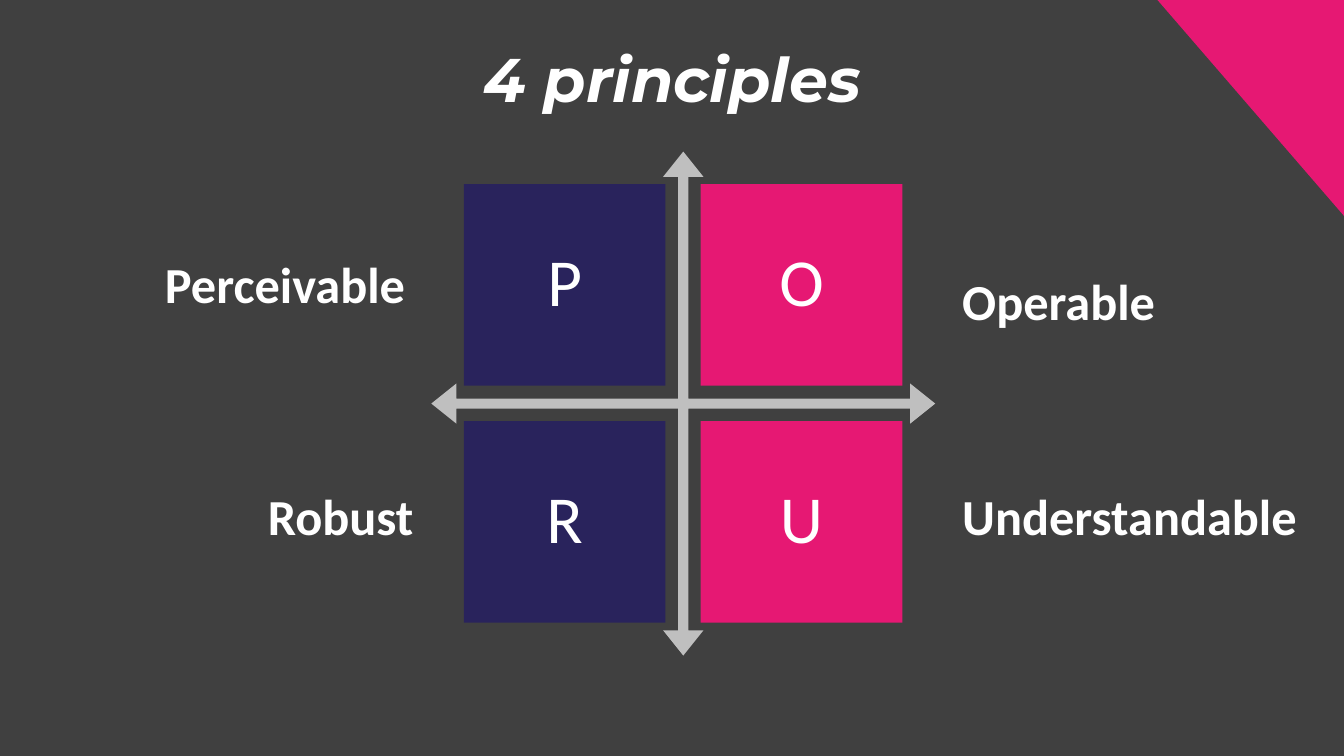
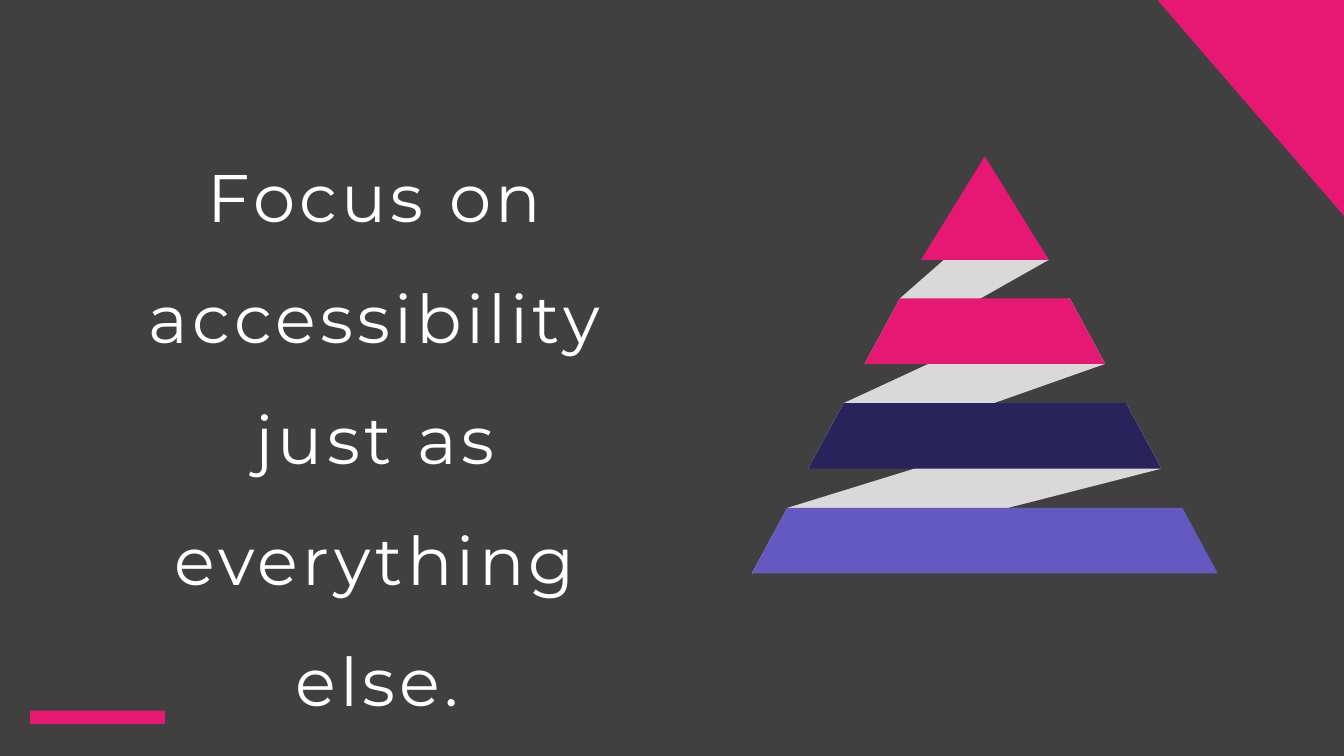
from pptx import Presentation
from pptx.dml.color import RGBColor
from pptx.enum.shapes import MSO_SHAPE
from pptx.enum.text import MSO_ANCHOR, MSO_AUTO_SIZE, PP_ALIGN
from pptx.util import Cm, Pt

RECT = MSO_SHAPE.RECTANGLE
CORNER = MSO_SHAPE.RIGHT_TRIANGLE
QUAD_ARROW = MSO_SHAPE.QUAD_ARROW
LEFT, CENTER, RIGHT = PP_ALIGN.LEFT, PP_ALIGN.CENTER, PP_ALIGN.RIGHT
MIDDLE = MSO_ANCHOR.MIDDLE
GROW = MSO_AUTO_SIZE.SHAPE_TO_FIT_TEXT

DARK, WHITE, PINK, NAVY, VIOLET = "404040", "FFFFFF", "E61873", "29235C", "6359C0"
ARROW_GREY, RIBBON_GREY = "BFBFBF", "D9D9D9"
HEADING, BODY = "Montserrat", "Calibri"
WIDTH, HEIGHT = 33.87, 19.05


def color(value):
    return RGBColor.from_string(value)


class Deck:
    def __init__(self):
        self.prs = Presentation()
        self.prs.slide_width, self.prs.slide_height = Cm(WIDTH), Cm(HEIGHT)
        self.slide = None

    def new_slide(self):
        self.slide = self.prs.slides.add_slide(self.prs.slide_layouts[6])
        fill = self.slide.background.fill
        fill.solid()
        fill.fore_color.rgb = color(DARK)

    def paint(self, s, fill):
        s.shadow.inherit = False
        s.fill.solid()
        s.fill.fore_color.rgb = color(fill)
        s.line.fill.background()
        return s

    def shape(self, kind, x, y, w, h, fill):
        s = self.slide.shapes.add_shape(kind, Cm(x), Cm(y), Cm(w), Cm(h))
        return self.paint(s, fill)

    def corner(self):
        w, h = 4.7, 5.44
        self.shape(CORNER, WIDTH - w, 0, w, h, PINK).rotation = 180

    def polygon(self, points, fill):
        points = [(Cm(x), Cm(y)) for x, y in points]
        builder = self.slide.shapes.build_freeform(*points[0], scale=1.0)
        builder.add_line_segments(points[1:], close=True)
        self.paint(builder.convert_to_shape(), fill)

    def set_text(self, tf, text, align, size, name, tracking=0, line_spacing=1.0, **style):
        tf.word_wrap = True
        p = tf.paragraphs[0]
        p.alignment = align
        p.line_spacing = line_spacing
        r = p.add_run()
        r.text = text
        for key, value in {"size": Pt(size), "name": name, **style}.items():
            setattr(r.font, key, value)
        r.font.color.rgb = color(WHITE)
        if tracking:
            r._r.get_or_add_rPr().set("spc", str(tracking * 100))

    def text(self, x, y, w, h, text, align, size, name, **style):
        s = self.slide.shapes.add_textbox(Cm(x), Cm(y), Cm(w), Cm(h))
        self.set_text(s.text_frame, text, align, size, name, **style)
        s.text_frame.auto_size = GROW

    def tile(self, x, y, side, letter, fill):
        tf = self.shape(RECT, x, y, side, side, fill).text_frame
        tf.vertical_anchor = MIDDLE
        for edge in ("left", "top", "right", "bottom"):
            setattr(tf, f"margin_{edge}", Cm(0.51))
        self.set_text(tf, letter, CENTER, 48, BODY, line_spacing=0.9)


def principles(deck):
    deck.new_slide()
    deck.text(7.87, 0.91, 18.16, 2.13, "4 principles", CENTER, 44, HEADING,
              bold=True, italic=True)
    deck.corner()

    arrow = deck.shape(QUAD_ARROW, 10.87, 3.82, 12.7, 12.7, ARROW_GREY)
    for i, value in enumerate((0.02, 0.04, 0.05)):
        arrow.adjustments[i] = value

    side, pitch = 5.08, 5.97
    for i, letter in enumerate("PORU"):
        row, col = divmod(i, 2)
        deck.tile(11.69 + col * pitch, 4.64 + row * pitch, side, letter,
                  (NAVY, PINK)[col])

    labels = [
        (3.12, 6.25, 7.34, "Perceivable", RIGHT),
        (24, 6.68, 7.34, "Operable", LEFT),
        (1.68, 12.09, 8.99, "Robust", RIGHT),
        (24, 12.09, 9.17, "Understandable", LEFT),
    ]
    for x, y, w, label, align in labels:
        deck.text(x, y, w, 1.8, label, align, 36, BODY, bold=True)


def pyramid(deck):
    axis, band_top, pitch, band_height = 24.82, 7.52, 2.64, 1.65
    top_half, bottom_half, widening = 2.14, 3.03, 1.42
    apex, tip_bottom, tip_half = 3.94, 6.55, 1.61

    tiers = [(5.08, 0.64, tip_bottom, tip_half)]
    for i in range(3):
        y, grow = band_top + i * pitch, i * widening
        tiers.append((y, top_half + grow, y + band_height, bottom_half + grow))

    for upper, lower in zip(tiers, tiers[1:]):
        y1, half1, y2, half2 = upper
        y3, half3, y4, half4 = lower
        deck.polygon([(axis + half1, y1), (axis - half3, y3),
                      (axis - half4, y4), (axis + half2, y2)], RIBBON_GREY)

    deck.polygon([(axis, apex), (axis + tip_half, tip_bottom),
                  (axis - tip_half, tip_bottom)], PINK)
    for (y1, half1, y2, half2), fill in zip(tiers[1:], (PINK, NAVY, VIOLET)):
        deck.polygon([(axis - half1, y1), (axis + half1, y1),
                      (axis + half2, y2), (axis - half2, y2)], fill)


def focus(deck):
    deck.new_slide()
    deck.shape(RECT, 0.76, 17.91, 3.4, 0.33, PINK)
    deck.corner()
    pyramid(deck)
    deck.text(2.39, 2.77, 14.22, 15.6, "Focus on accessibility just as everything else.",
              CENTER, 48, HEADING, tracking=3, line_spacing=1.5)


def main():
    deck = Deck()
    principles(deck)
    focus(deck)
    deck.prs.save("out.pptx")


if __name__ == "__main__":
    main()
